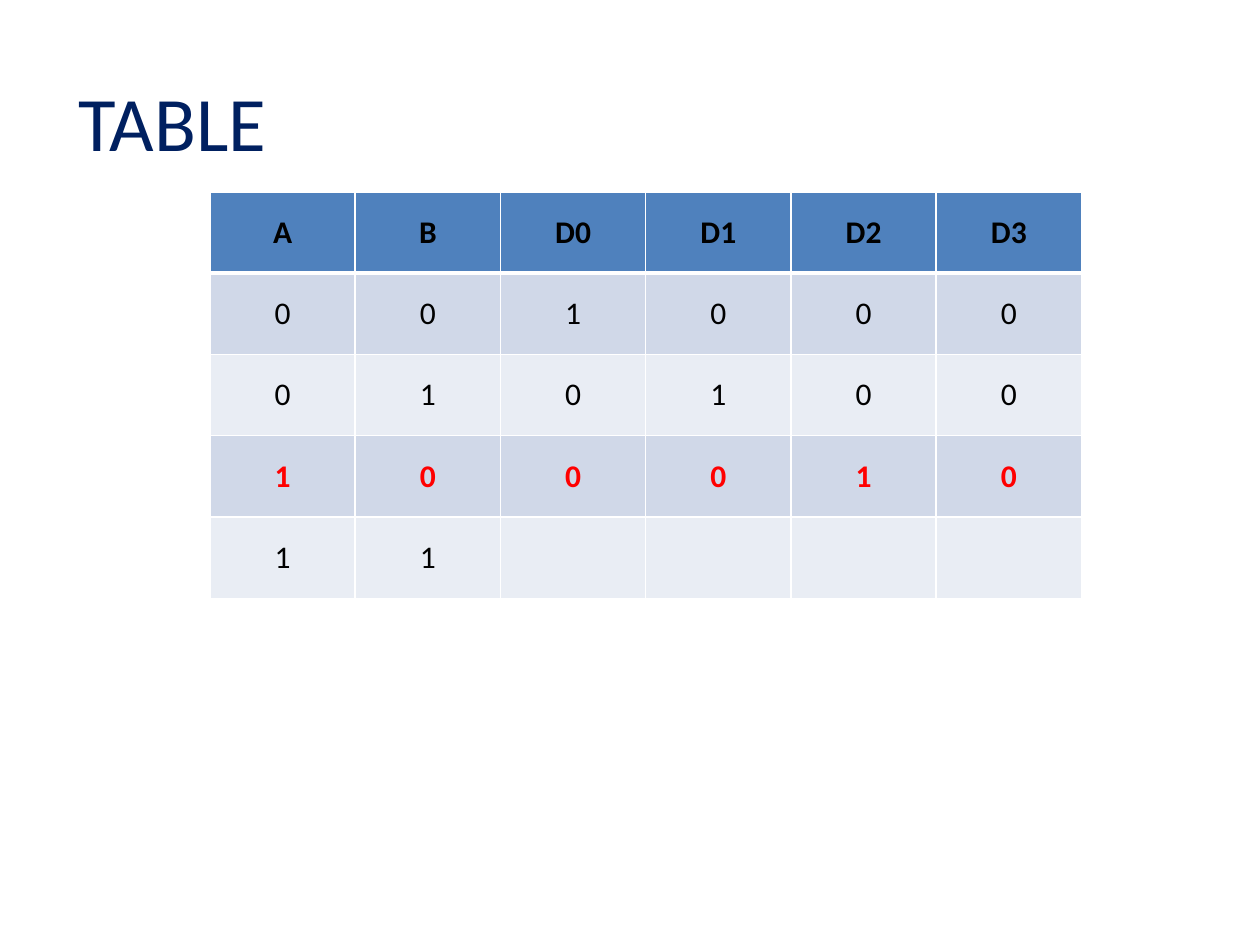
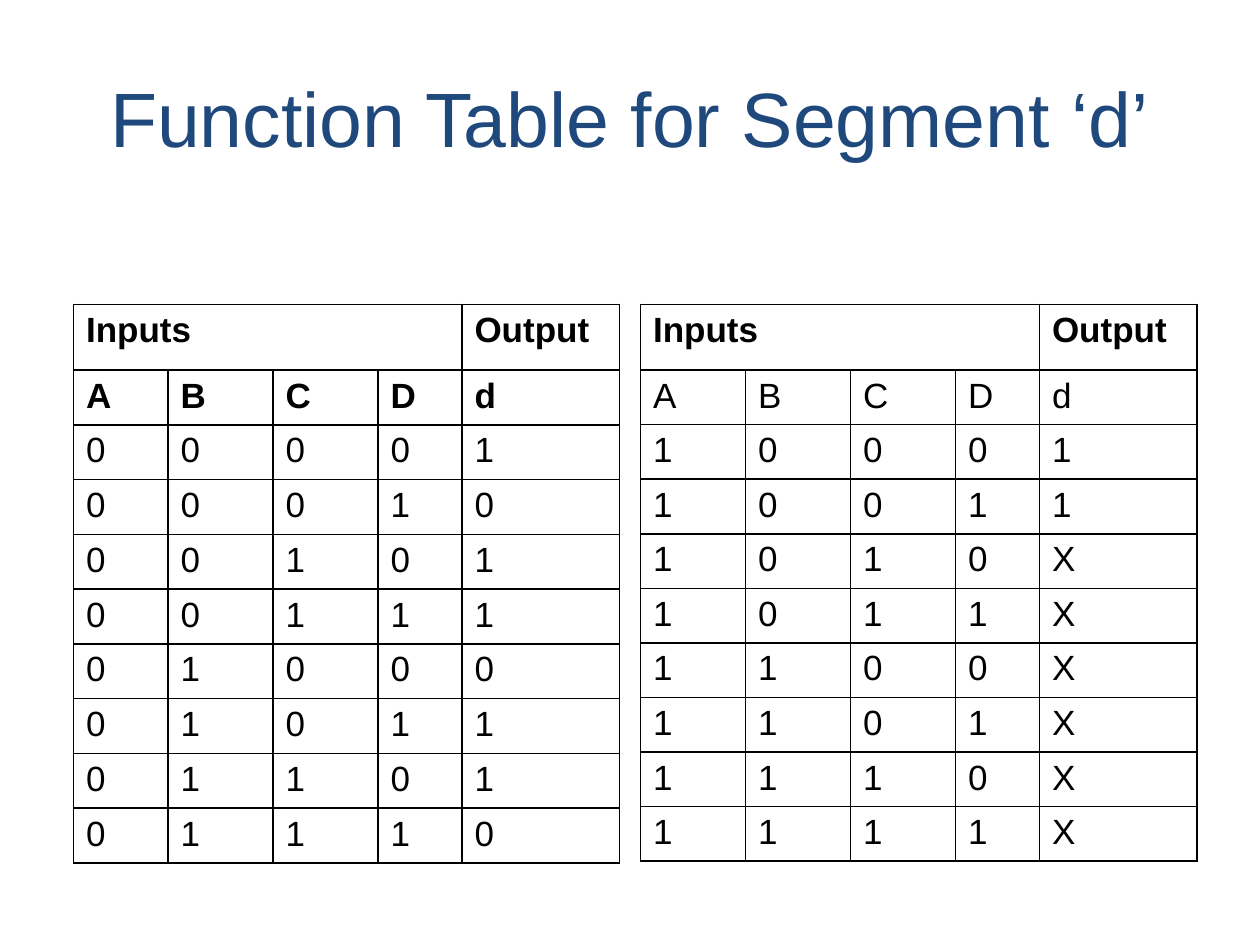
"""Build two slides of logic tables: a decoder table and the function table of a display segment."""
from lxml.etree import SubElement
from pptx import Presentation
from pptx.dml.color import RGBColor
from pptx.enum.text import MSO_ANCHOR as Anchor, MSO_AUTO_SIZE as AutoSize, PP_ALIGN as Align
from pptx.oxml.ns import qn
from pptx.util import Pt

NAVY = RGBColor(0x00, 0x20, 0x60)
BLUE = RGBColor(0x1F, 0x49, 0x7D)
HEADER_BLUE = RGBColor(0x4F, 0x81, 0xBD)
BAND_DARK = RGBColor(0xD0, 0xD8, 0xE8)
BAND_LIGHT = RGBColor(0xE9, 0xED, 0xF4)
RED = RGBColor(0xFF, 0x00, 0x00)
BLACK = RGBColor(0x00, 0x00, 0x00)
WHITE = RGBColor(0xFF, 0xFF, 0xFF)

DECODER = [
    ["A", "B", "D0", "D1", "D2", "D3"],
    ["0", "0", "1", "0", "0", "0"],
    ["0", "1", "0", "1", "0", "0"],
    ["1", "0", "0", "0", "1", "0"],
    ["1", "1", "", "", "", ""],
]
HIGHLIGHTED_ROW = 3

SEGMENT_HEADINGS = [["Inputs", "", "", "", "Output"], ["A", "B", "C", "D", "d"]]
SEGMENT_HALVES = [
    {"left": 42, "widths": [54, 60, 60, 48, 90], "row_height": 31.3, "bold_rows": 2, "hanging": 27,
     "states": ["00001", "00010", "00101", "00111", "01000", "01011", "01101", "01110"]},
    {"left": 366, "widths": [60, 60, 60, 48, 90], "row_height": 31.2, "bold_rows": 1, "hanging": 0,
     "states": ["10001", "10011", "1010X", "1011X", "1100X", "1101X", "1110X", "1111X"]},
]


def put_text(frame, text, *, font, size, color, bold=False, align=Align.LEFT, hanging=0):
    """Write one formatted paragraph into a text frame."""
    paragraph = frame.paragraphs[0]
    paragraph.alignment = align
    if hanging:
        properties = paragraph._p.get_or_add_pPr()
        properties.set("marL", str(Pt(hanging)))
        properties.set("indent", str(-Pt(hanging)))
    run = paragraph.add_run()
    run.text = text
    run.font.name, run.font.size, run.font.bold = font, Pt(size), bold
    run.font.color.rgb = color


def add_titled_slide(deck, text, left, top, **style):
    """Add a title-only slide and place its title."""
    slide = deck.slides.add_slide(deck.slide_layouts[5])
    title = slide.shapes.title
    title.left, title.top, title.width, title.height = Pt(left), Pt(top), Pt(648), Pt(90)
    frame = title.text_frame
    frame.auto_size = AutoSize.NONE
    frame.vertical_anchor = Anchor.MIDDLE
    put_text(frame, text, size=44, **style)
    return slide


def add_grid(slide, left, top, widths, heights):
    """Add an unbanded table with the given column widths and row heights."""
    grid = slide.shapes.add_table(len(heights), len(widths), Pt(left), Pt(top),
                                  Pt(sum(widths)), Pt(sum(heights))).table
    grid.first_row = grid.horz_banding = False
    for column, width in zip(grid.columns, widths):
        column.width = Pt(width)
    for row, height in zip(grid.rows, heights):
        row.height = Pt(height)
    return grid


def set_borders(cell, color, top=1, bottom=1):
    """Draw the four borders of a cell."""
    properties = cell._tc.get_or_add_tcPr()
    for position, (side, width) in enumerate([("L", 1), ("R", 1), ("T", top), ("B", bottom)]):
        line = SubElement(properties, qn(f"a:ln{side}"), w=str(Pt(width)))
        SubElement(SubElement(line, qn("a:solidFill")), qn("a:srgbClr"), val=str(color))
        properties.insert(position, line)


def add_decoder_slide(deck):
    """Add the slide with the decoder table."""
    slide = add_titled_slide(deck, "TABLE", 37.5, 24, font="Calibri", color=NAVY)
    grid = add_grid(slide, 120, 110, [83] * 6, [46] + [46.5] * 4)
    for r, values in enumerate(DECODER):
        band = HEADER_BLUE if r == 0 else BAND_DARK if r % 2 else BAND_LIGHT
        for c, value in enumerate(values):
            cell = grid.cell(r, c)
            cell.fill.solid()
            cell.fill.fore_color.rgb = band
            cell.vertical_anchor = Anchor.MIDDLE
            set_borders(cell, WHITE, top=3 if r == 1 else 1, bottom=3 if r == 0 else 1)
            if value:
                put_text(cell.text_frame, value, font="Calibri", size=18, align=Align.CENTER,
                         color=RED if r == HIGHLIGHTED_ROW else BLACK,
                         bold=r in (0, HIGHLIGHTED_ROW))


def add_segment_slide(deck):
    """Add the slide with both halves of the segment function table."""
    slide = add_titled_slide(deck, "Function Table for Segment ‘d’", 36, 21.6,
                             font="Arial", color=BLUE, align=Align.CENTER)
    for half in SEGMENT_HALVES:
        rows = SEGMENT_HEADINGS + half["states"]
        heights = [37.5] + [half["row_height"]] * (len(rows) - 1)
        grid = add_grid(slide, half["left"], 174, half["widths"], heights)
        grid.cell(0, 0).merge(grid.cell(0, 3))
        for r, values in enumerate(rows):
            for c, value in enumerate(values):
                cell = grid.cell(r, c)
                cell.fill.background()
                set_borders(cell, BLACK)
                if value:
                    put_text(cell.text_frame, value, font="Arial", size=20, color=BLACK,
                             bold=r < half["bold_rows"], align=Align.JUSTIFY,
                             hanging=half["hanging"])


def main():
    """Build and save the presentation."""
    deck = Presentation()
    deck.slide_width, deck.slide_height = Pt(720), Pt(540)
    add_decoder_slide(deck)
    add_segment_slide(deck)
    deck.save("out.pptx")


if __name__ == "__main__":
    main()
